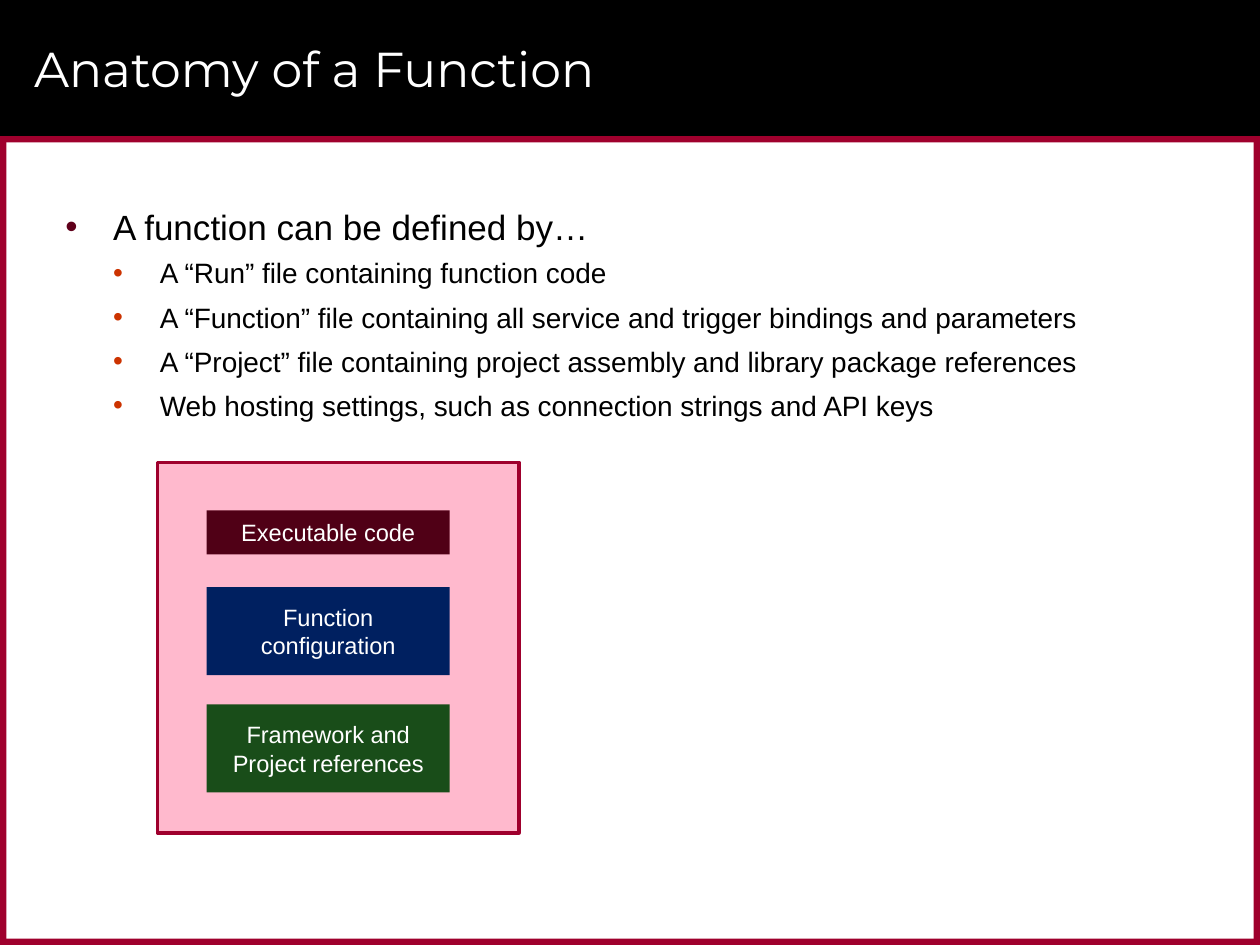
import pptx
import pptx.dml.color
import pptx.enum.shapes
import pptx.enum.text
import pptx.oxml
import pptx.oxml.ns
import pptx.util
from pptx.util import Inches

COLORS = {
    "black": "000000", "white": "FFFFFF", "crimson": "9F002D", "pink": "FFB9CD",
    "maroon": "500016", "navy": "002060", "green": "194D19",
    "bullet": "60001B", "sub_bullet": "CC3300",
}
ANCHOR = pptx.enum.text.MSO_ANCHOR
ALIGN = pptx.enum.text.PP_ALIGN

# Paragraph formats by bullet level; indents in inches, spacing in points
BULLETS = [
    {"size": 20, "before": 6, "after": 2, "left": 0.38, "hang": 0.38, "color": "bullet"},
    {"size": 16, "before": 3, "after": 3, "left": 0.75, "hang": 0.37, "color": "sub_bullet"},
]
BODY = [
    (0, "A function can be defined by…"),
    (1, "A “Run” file containing function code"),
    (1, "A “Function” file containing all service and trigger bindings and parameters"),
    (1, "A “Project” file containing project assembly and library package references"),
    (1, "Web hosting settings, such as connection strings and API keys"),
]
PARTS = [  # top, height, fill, text
    (4.05, 0.35, "maroon", "Executable code"),
    (4.66, 0.70, "navy", "Function configuration"),
    (5.59, 0.70, "green", "Framework and Project references"),
]


def rgb(name):
    return pptx.dml.color.RGBColor.from_string(COLORS[name])


def set_font(font, size, color, name="Arial"):
    values = {"size": pptx.util.Pt(size), "name": name, "bold": False}
    for attribute, value in values.items():
        setattr(font, attribute, value)
    font.color.rgb = rgb(color)


def add_box(slide, box, fill, line=None, text=None):
    shape = slide.shapes.add_shape(
        pptx.enum.shapes.MSO_SHAPE.RECTANGLE, *map(Inches, box))
    shape.shadow.inherit = False
    shape.fill.solid()
    shape.fill.fore_color.rgb = rgb(fill)
    if line:
        shape.line.color.rgb = rgb(line)
        shape.line.width = pptx.util.Pt(2)
    else:
        shape.line.fill.background()
    if text:
        shape.text_frame.word_wrap = True
        shape.text_frame.vertical_anchor = ANCHOR.MIDDLE
        paragraph = shape.text_frame.paragraphs[0]
        paragraph.text = text
        paragraph.alignment = ALIGN.CENTER
        set_font(paragraph.runs[0].font, 13.5, "white")


def add_frame(slide):
    top, edge = 1.08, 0.05
    add_box(slide, (0, 0, 10, top), "black")
    for box in [
        (0, top, 10, edge),
        (0, 7.5 - edge, 10, edge),
        (10 - edge, top, edge, 7.5 - top),
        (0, top, edge, 7.5 - top),
    ]:
        add_box(slide, box, "crimson")


def set_title(slide, text):
    title = slide.shapes.title
    box = {"left": 0.17, "top": 0.08, "width": 9.42, "height": 0.92}
    for attribute, value in box.items():
        setattr(title, attribute, Inches(value))
    frame = title.text_frame
    frame.text = text
    frame.auto_size = pptx.enum.text.MSO_AUTO_SIZE.NONE
    frame.vertical_anchor = ANCHOR.MIDDLE
    frame.paragraphs[0].alignment = ALIGN.LEFT
    set_font(frame.paragraphs[0].runs[0].font, 28, "white", "Montserrat")
    # Bring the title in front of the header band
    slide.shapes._spTree.append(title._element)


def set_bullet(paragraph, style):
    properties = paragraph._p.get_or_add_pPr()
    properties.set("marL", str(Inches(style["left"])))
    properties.set("indent", str(-Inches(style["hang"])))
    namespace = pptx.oxml.ns.nsdecls("a")
    for xml in [
        f'<a:buClr {namespace}><a:srgbClr val="{COLORS[style["color"]]}"/></a:buClr>',
        f'<a:buFont {namespace} typeface="Arial"/>',
        f'<a:buChar {namespace} char="•"/>',
    ]:
        properties.append(pptx.oxml.parse_xml(xml))


def add_bullets(slide, box, items):
    frame = slide.shapes.add_textbox(*map(Inches, box)).text_frame
    frame.word_wrap = True
    for index, (level, text) in enumerate(items):
        paragraph = frame.add_paragraph() if index else frame.paragraphs[0]
        style = BULLETS[level]
        paragraph.text = text
        paragraph.level = level
        paragraph.space_before = pptx.util.Pt(style["before"])
        paragraph.space_after = pptx.util.Pt(style["after"])
        set_font(paragraph.runs[0].font, style["size"], "black")
        set_bullet(paragraph, style)


def main():
    presentation = pptx.Presentation()
    presentation.slide_width = Inches(10)
    presentation.slide_height = Inches(7.5)
    slide = presentation.slides.add_slide(presentation.slide_layouts[5])

    # Header, border and text
    add_frame(slide)
    set_title(slide, "Anatomy of a Function")
    add_bullets(slide, (0.42, 1.58, 9.17, 5.67), BODY)

    # Function panel with its parts
    add_box(slide, (1.25, 3.67, 2.87, 2.94), "pink", line="crimson")
    for top, height, fill, text in PARTS:
        add_box(slide, (1.64, top, 1.93, height), fill, text=text)

    presentation.save("out.pptx")


if __name__ == "__main__":
    main()
